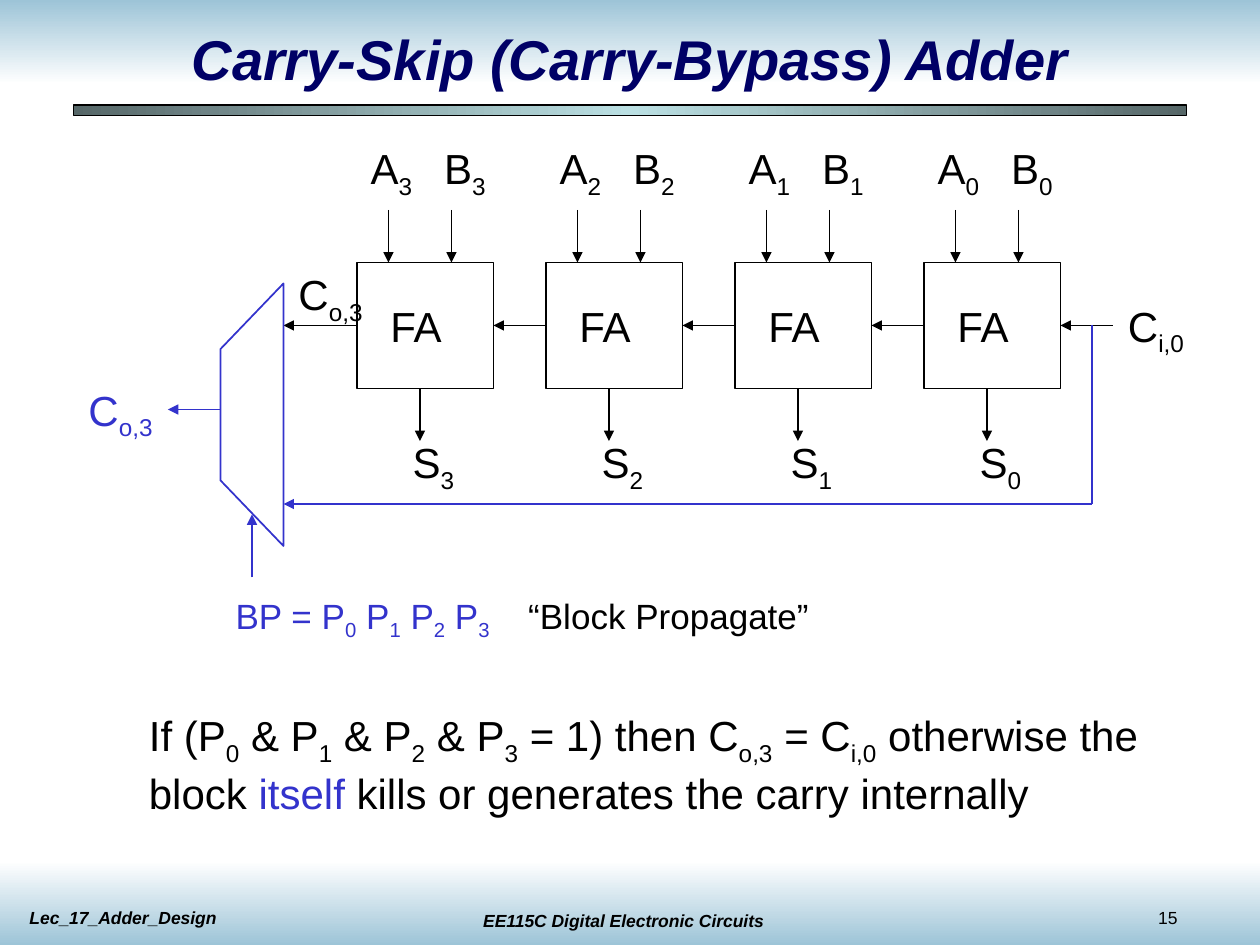
from copy import deepcopy

from lxml import etree
from pptx import Presentation
from pptx import util as u
from pptx.dml.color import RGBColor
from pptx.enum import shapes, text
from pptx.oxml import ns

PX = 9525  # EMU per px, 96 px to the inch
COLORS = {
    "ink": "000000",
    "blue": "3333CC",
    "title": "000066",
    "sky": "9DC4D7",
    "white": "FFFFFF",
    "slate": "566768",
    "mist": "BBE0E3",
}


def rgb(name):
    return RGBColor.from_string(COLORS[name])


class Deck:
    """Holds the style and the slide being drawn."""

    font = "Arial"
    line_pt = 1

    def __init__(self, width, height):
        self.prs = Presentation()
        self.prs.slide_width, self.prs.slide_height = width * PX, height * PX
        self.s = self.prs.slides.add_slide(self.prs.slide_layouts[6])

    def outline(self, sp, color, pt=line_pt):
        sp.line.color.rgb = rgb(color)
        sp.line.width = u.Pt(pt)

    def rect(self, x, y, w, h):
        sp = self.s.shapes.add_shape(
            shapes.MSO_SHAPE.RECTANGLE, x * PX, y * PX, w * PX, h * PX)
        sp.shadow.inherit = False
        sp.fill.background()
        return sp

    def block(self, x, y, w, h):
        sp = self.rect(x, y, w, h)
        self.outline(sp, "ink")
        return sp

    def gradient(self, x, y, w, h, colors, angle, edge=None):
        sp = self.rect(x, y, w, h)
        sp.fill.gradient()
        sp.fill.gradient_angle = angle
        stops = sp._element.spPr.find(".//" + ns.qn("a:gsLst"))
        while len(stops) < len(colors):
            stops.append(deepcopy(stops[0]))
        for i, (stop, color) in enumerate(zip(sp.fill.gradient_stops, colors)):
            stop.position = i / (len(colors) - 1)
            stop.color.rgb = rgb(color)
        if edge:
            self.outline(sp, edge, 0.75)
        else:
            sp.line.fill.background()

    def polygon(self, points, color):
        builder = self.s.shapes.build_freeform(*points[0], scale=PX)
        builder.add_line_segments(points[1:], close=True)
        sp = builder.convert_to_shape()
        sp.shadow.inherit = False
        sp.fill.background()
        self.outline(sp, color)

    def line(self, x1, y1, x2, y2, color="ink", arrow=True, begin=None, end=None):
        """begin and end are (shape, connection site) pairs."""
        c = self.s.shapes.add_connector(
            shapes.MSO_CONNECTOR.STRAIGHT, x1 * PX, y1 * PX, x2 * PX, y2 * PX)
        self.outline(c, color)
        if arrow:
            etree.SubElement(c.line._get_or_add_ln(), ns.qn("a:tailEnd"), type="triangle")
        etree.SubElement(c._element.spPr, ns.qn("a:effectLst"))
        if begin:
            c.begin_connect(*begin)
        if end:
            c.end_connect(*end)

    def text(self, x, y, w, h, parts, size=24, color="ink", wrap=False,
             align="LEFT", bold_italic=False, tab=None, middle=False):
        """parts is a string or (string, color) pairs; |..| marks a subscript."""
        tf = self.s.shapes.add_textbox(x * PX, y * PX, w * PX, h * PX).text_frame
        tf.word_wrap = wrap
        if middle:
            tf.vertical_anchor = text.MSO_ANCHOR.MIDDLE
        else:
            tf.auto_size = text.MSO_AUTO_SIZE.SHAPE_TO_FIT_TEXT
        p = tf.paragraphs[0]
        p.alignment = getattr(text.PP_ALIGN, align)
        if tab:
            tabs = etree.SubElement(p._p.get_or_add_pPr(), ns.qn("a:tabLst"))
            etree.SubElement(tabs, ns.qn("a:tab"), pos=str(tab * PX), algn="l")
        p.font.name, p.font.size = self.font, u.Pt(size)
        if bold_italic:
            p.font.bold = p.font.italic = True
        if isinstance(parts, str):
            parts = [(parts, color)]
            p.font.color.rgb = rgb(color)
        for words, tint in parts:
            for i, piece in enumerate(words.split("|")):
                if not piece:
                    continue
                r = p.add_run()
                r.text = piece
                if len(parts) > 1:
                    r.font.color.rgb = rgb(tint)
                if i % 2:
                    r._r.get_or_add_rPr().set("baseline", "-25000")


def frame(d):
    # Background bands, footer and title
    d.gradient(0, 0, 960, 64, ["sky", "white"], 270)
    d.gradient(0, 656, 960, 64, ["white", "sky"], 270)
    d.text(339, 689, 272, 26, "EE115C Digital Electronic Circuits", 10,
           wrap=True, align="CENTER", bold_italic=True)
    d.text(873, 686, 80, 26, "15", 10, wrap=True)
    d.text(13, 686, 272, 26, "Lec_17_Adder_Design", 10, wrap=True, bold_italic=True)
    d.gradient(56, 80, 848, 8, ["slate", "mist", "slate"], 180, "ink")
    d.text(72, 16, 816, 56, "Carry-Skip (Carry-Bypass) Adder", 32, "title",
           wrap=True, align="CENTER", bold_italic=True, middle=True)


def adder_chain(d):
    # Full adders, bit 0 on the right
    lefts = [704 - 144 * bit for bit in range(4)]
    adders = [d.block(x, 200, 104, 96) for x in lefts]
    for bit, x in enumerate(lefts):
        d.text(x + 1, 104, 52, 54, f"A|{bit}|")
        d.text(x + 57, 104, 52, 54, f"B|{bit}|")
        d.text(x + 33, 328, 52, 54, f"S|{bit}|")
        d.text(x + 16, 224, 62, 48, "FA", wrap=True)
        for dx, top, bottom in ((24, 160, 200), (72, 160, 200), (48, 296, 336)):
            d.line(x + dx, top, x + dx, bottom)

    # Carry ripples from right to left
    d.line(848, 248, 808, 248, end=(adders[0], 3))
    for source, target in zip(adders, adders[1:]):
        d.line(0, 248, 0, 248, begin=(source, 1), end=(target, 3))
    d.line(272, 248, 216, 248, begin=(adders[-1], 1))
    d.text(850, 224, 66, 54, "C|i,0|")
    d.text(218, 200, 70, 54, "C|o,3|")


def bypass(d):
    # Multiplexer and skip path
    d.polygon([(216, 216), (216, 416), (168, 366), (168, 266)], "blue")
    d.line(168, 312, 128, 312, "blue")
    d.line(832, 384, 216, 384, "blue")
    d.line(832, 248, 832, 384, "blue", arrow=False)
    d.line(192, 440, 192, 392, "blue")
    d.text(58, 288, 70, 54, "C|o,3|", color="blue")
    d.text(170, 448, 460, 46,
           [("BP = P|0| P|1| P|2| P|3|", "blue"), ("\t“Block Propagate”", "ink")],
           20, wrap=True, tab=223)


def main():
    d = Deck(960, 720)
    frame(d)
    adder_chain(d)
    bypass(d)

    # Explanation
    d.text(104, 536, 776, 92, [
        ("If (P|0| & P|1| & P|2| & P|3| = 1) then C|o,3| = C|i,0| otherwise the block ", "ink"),
        ("itself", "blue"),
        (" kills or generates the carry internally", "ink"),
    ], wrap=True)
    d.prs.save("out.pptx")


if __name__ == "__main__":
    main()
